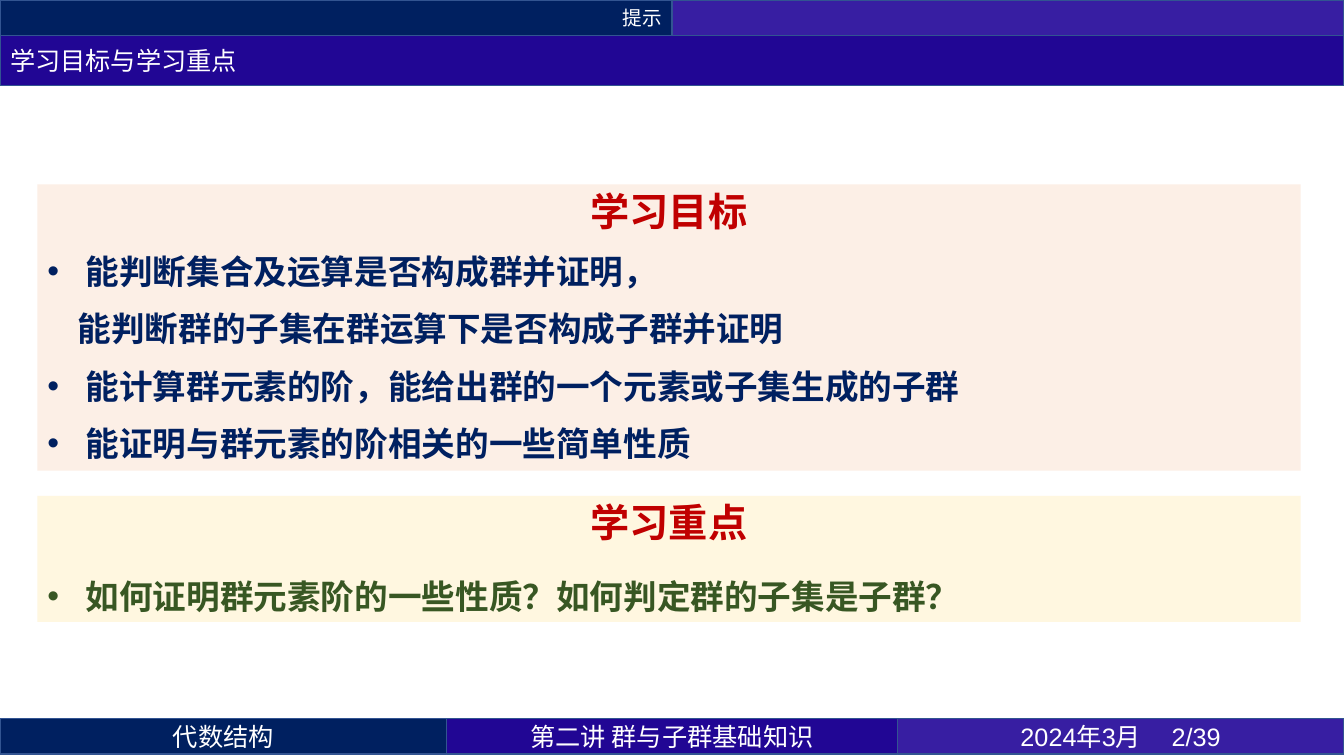
from pptx import Presentation
from pptx.dml.color import RGBColor
from pptx.enum.shapes import MSO_SHAPE as SHAPE
from pptx.enum.text import MSO_ANCHOR as ANCHOR, MSO_AUTO_SIZE as AUTO, PP_ALIGN as ALIGN
from pptx.oxml.ns import qn
from pptx.util import Inches, Pt
from lxml.etree import SubElement

W, H = 13.33, 7.5
NAVY, INDIGO, VIOLET, EDGE = "002060", "210694", "371EA2", "325491"
RED, GREEN, WHITE = "C00000", "385723", "FFFFFF"
CJK, LATIN = "Noto Sans CJK SC", "Arial"
BAR = 0.35


def style(sp, box, fill, line=None):
    """Place a shape and paint its fill and outline."""
    sp.left, sp.top, sp.width, sp.height = (Inches(v) for v in box)
    sp.fill.solid()
    sp.fill.fore_color.rgb = RGBColor.from_string(fill)
    if line:
        sp.line.color.rgb = RGBColor.from_string(line)
        sp.line.width = Pt(1)
    else:
        sp.line.fill.background()


def write(p, text, size, font, color, align, bold=False):
    """Fill a paragraph with one formatted run."""
    p.text = text
    p.alignment = align
    for r in p.runs:
        r.font.size, r.font.name, r.font.bold = Pt(size), font, bold
        r.font.color.rgb = RGBColor.from_string(color)
        SubElement(r._r.get_or_add_rPr(), qn("a:ea")).set("typeface", CJK)


prs = Presentation()
prs.slide_width, prs.slide_height = Inches(W), Inches(H)
s = prs.slides.add_slide(prs.slide_layouts[3])
title, goals, focus = list(s.placeholders)[:3]

# Header and footer bars: left, right, top, fill, text, size, font, alignment
foot = 7.13
bars = [
    (0, W / 2, 0, NAVY, "提示", 14, CJK, ALIGN.RIGHT),
    (W / 2, W, 0, VIOLET, "", 14, CJK, ALIGN.LEFT),
    (0, 4.43, foot, NAVY, "代数结构", 18, CJK, ALIGN.CENTER),
    (4.43, 8.9, foot, INDIGO, "第二讲 群与子群基础知识", 18, CJK, ALIGN.CENTER),
    (8.9, W, foot, VIOLET, "2024年3月 \t2/39", 18, LATIN, ALIGN.CENTER),
]
for left, right, top, fill, text, size, font, align in bars:
    sp = s.shapes.add_shape(SHAPE.RECTANGLE, 0, 0, 0, 0)
    sp.shadow.inherit = False
    style(sp, (left, top, right - left, BAR), fill, EDGE)
    if text:
        sp.text_frame.vertical_anchor = ANCHOR.MIDDLE
        write(sp.text_frame.paragraphs[0], text, size, font, WHITE, align)

# Slide title
style(title, (0, BAR, W, 0.5), INDIGO, EDGE)
title.text_frame.auto_size = AUTO.NONE
title.text_frame.vertical_anchor = ANCHOR.MIDDLE
write(title.text_frame.paragraphs[0], "学习目标与学习重点", 18, CJK, WHITE, ALIGN.LEFT)

# Panels: placeholder, top, height, fill, text colour, space before, line pitch,
# heading, then items with their bullet flag
panels = [
    (goals, 1.83, 2.84, "FBE5D6", NAVY, 6, None, "学习目标", [
        ("能判断集合及运算是否构成群并证明，", True),
        ("能判断群的子集在群运算下是否构成子群并证明", False),
        ("能计算群元素的阶，能给出群的一个元素或子集生成的子群", True),
        ("能证明与群元素的阶相关的一些简单性质", True)]),
    (focus, 4.92, 1.25, "FFF2CC", GREEN, 12, Pt(32), "学习重点", [
        ("如何证明群元素阶的一些性质？如何判定群的子集是子群？", True)]),
]
for sp, top, height, fill, color, before, pitch, heading, items in panels:
    style(sp, (0.37, top, 12.53, height), fill)
    rgb = sp.fill._xPr.find(".//" + qn("a:srgbClr"))
    SubElement(rgb, qn("a:alpha")).set("val", "60000")
    tf = sp.text_frame
    tf.auto_size = AUTO.NONE
    tf.vertical_anchor = ANCHOR.TOP

    for i, (text, bullet) in enumerate([(heading, False)] + items):
        p = tf.paragraphs[0] if i == 0 else tf.add_paragraph()
        p.space_before = Pt(before if i else 0)
        p.space_after = Pt(6)
        p.line_spacing = pitch if i else Pt(32)
        pPr = p._p.get_or_add_pPr()
        margin = 0.38 if bullet else 0.3 if i else 0
        pPr.set("marL", str(Inches(margin)))
        pPr.set("indent", str(Inches(-margin if bullet else 0)))
        if bullet:
            SubElement(pPr, qn("a:buFont")).set("typeface", LATIN)
            SubElement(pPr, qn("a:buChar")).set("char", "•")
        else:
            SubElement(pPr, qn("a:buNone"))
        if i == 0:
            write(p, text, 28, CJK, RED, ALIGN.CENTER, True)
        else:
            write(p, text, 24, LATIN, color, ALIGN.LEFT, True)

prs.save("out.pptx")
